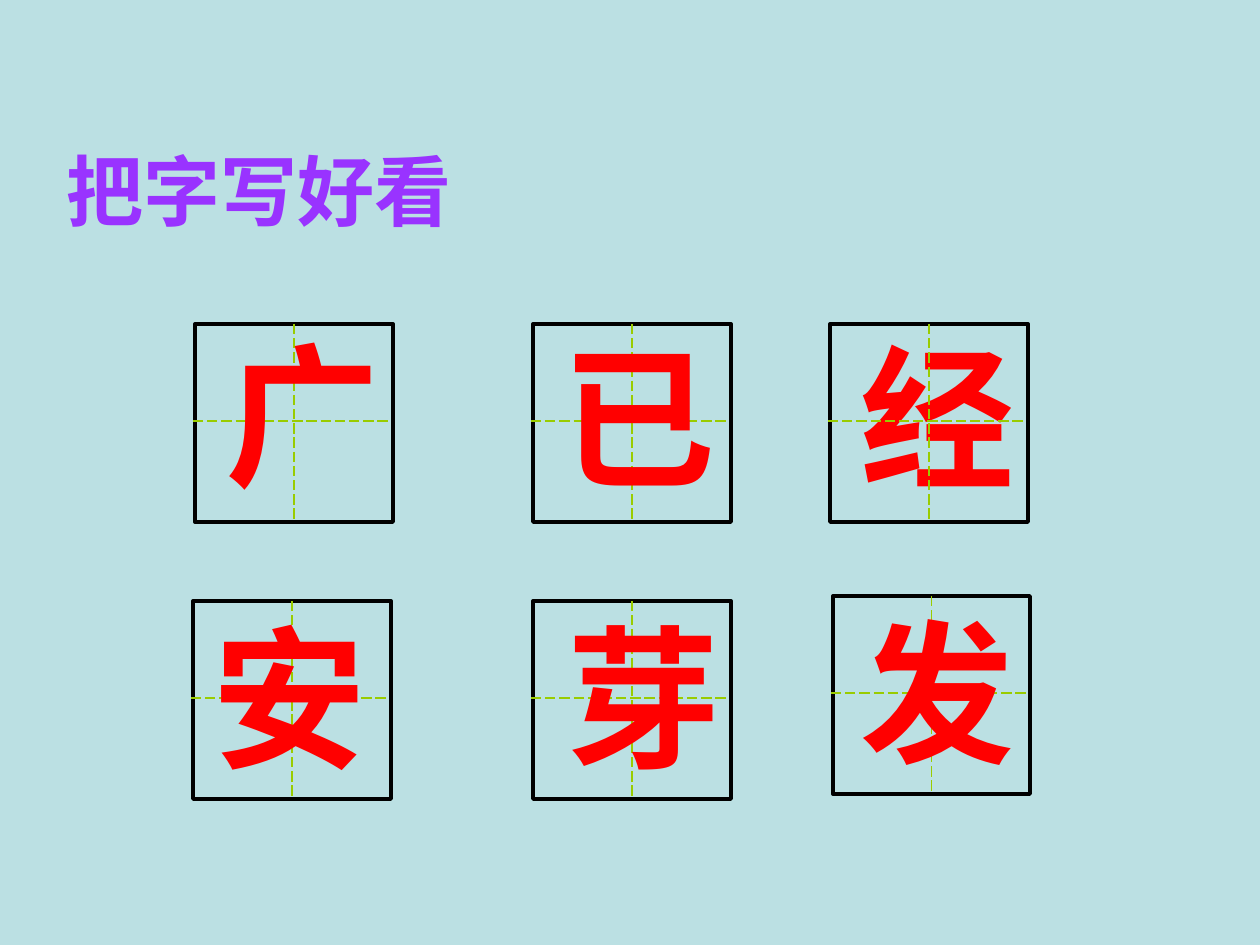
"""Build a slide of six practice characters, each in a square writing grid."""
from lxml import etree
from pptx import Presentation
from pptx.dml.color import RGBColor
from pptx.enum.dml import MSO_LINE
from pptx.enum.shapes import MSO_CONNECTOR, MSO_SHAPE
from pptx.enum.text import MSO_ANCHOR, PP_ALIGN
from pptx.oxml.ns import qn
from pptx.util import Emu, Pt

RECT, LINE = MSO_SHAPE.RECTANGLE, MSO_CONNECTOR.STRAIGHT
DASH, MID = MSO_LINE.LONG_DASH, MSO_ANCHOR.MIDDLE
LEFT, CENTER = PP_ALIGN.LEFT, PP_ALIGN.CENTER
SKY = RGBColor(0xBB, 0xE0, 0xE3)
BLACK = RGBColor(0, 0, 0)
GREEN = RGBColor(0x99, 0xCC, 0)
RED = RGBColor(0xFF, 0, 0)
VIOLET = RGBColor(0x99, 0x33, 0xFF)
LATIN, HAN = "Arial", "Noto Sans CJK SC"

TITLE = "把字写好看"
SIDE = 198
# glyph, grid (left, top, width), text (left, top, height), grid in front
CELLS = [
    ("广", (195, 324, SIDE), (203, 314, SIDE), False),
    ("已", (533, 324, SIDE), (539, 316, SIDE), False),
    ("经", (830, 324, SIDE), (838, 316, SIDE), True),
    ("安", (193, 601, SIDE), (190, 596, SIDE), False),
    ("芽", (533, 601, SIDE), (544, 596, SIDE), False),
    ("发", (833, 596, 197), (838, 596, 188), False),
]


def px(*nums):
    return [Emu(round(n * 914400 / 126)) for n in nums]


def add_text(slide, box, text, size, color, face, align):
    frame = slide.shapes.add_textbox(*px(*box)).text_frame
    frame.word_wrap = False
    frame.vertical_anchor = MID
    para = frame.paragraphs[0]
    para.alignment = align
    run = para.add_run()
    run.text = text
    font = run.font
    font.size, font.bold, font.name = Pt(size), True, face
    font.color.rgb = color
    etree.SubElement(run._r.get_or_add_rPr(), qn("a:ea"), typeface=HAN)


def add_guide(group, *ends):
    guide = group.shapes.add_connector(LINE, *px(*ends))
    guide.line.color.rgb = GREEN
    guide.line.width = Pt(0.75)
    guide.line.dash_style = DASH
    etree.SubElement(guide._element.spPr, qn("a:effectLst"))
    return guide


def add_grid(slide, left, top, width):
    group = slide.shapes.add_group_shape()
    square = group.shapes.add_shape(RECT, *px(left, top, width, SIDE))
    square.shadow.inherit = False
    square.fill.background()
    square.line.color.rgb = BLACK
    square.line.width = Pt(2.25)
    mid, row = left + width / 2, top + 97
    upright = add_guide(group, mid, top, mid, top + SIDE)
    upright.begin_connect(square, 0)
    upright.end_connect(square, 2)
    add_guide(group, left - 2, row, left + width - 2, row)


def main():
    deck = Presentation()
    deck.slide_width, deck.slide_height = px(1260, 945)
    slide = deck.slides.add_slide(deck.slide_layouts[6])
    slide.background.fill.solid()
    slide.background.fill.fore_color.rgb = SKY
    add_text(slide, (54, 115, 456, 149), TITLE, 44, VIOLET, HAN, LEFT)
    for glyph, grid, (left, top, height), front in CELLS:
        if not front:
            add_grid(slide, *grid)
        box = left, top, SIDE, height
        add_text(slide, box, glyph, 88, RED, LATIN, CENTER)
        if front:
            add_grid(slide, *grid)
    deck.save("out.pptx")


if __name__ == "__main__":
    main()
